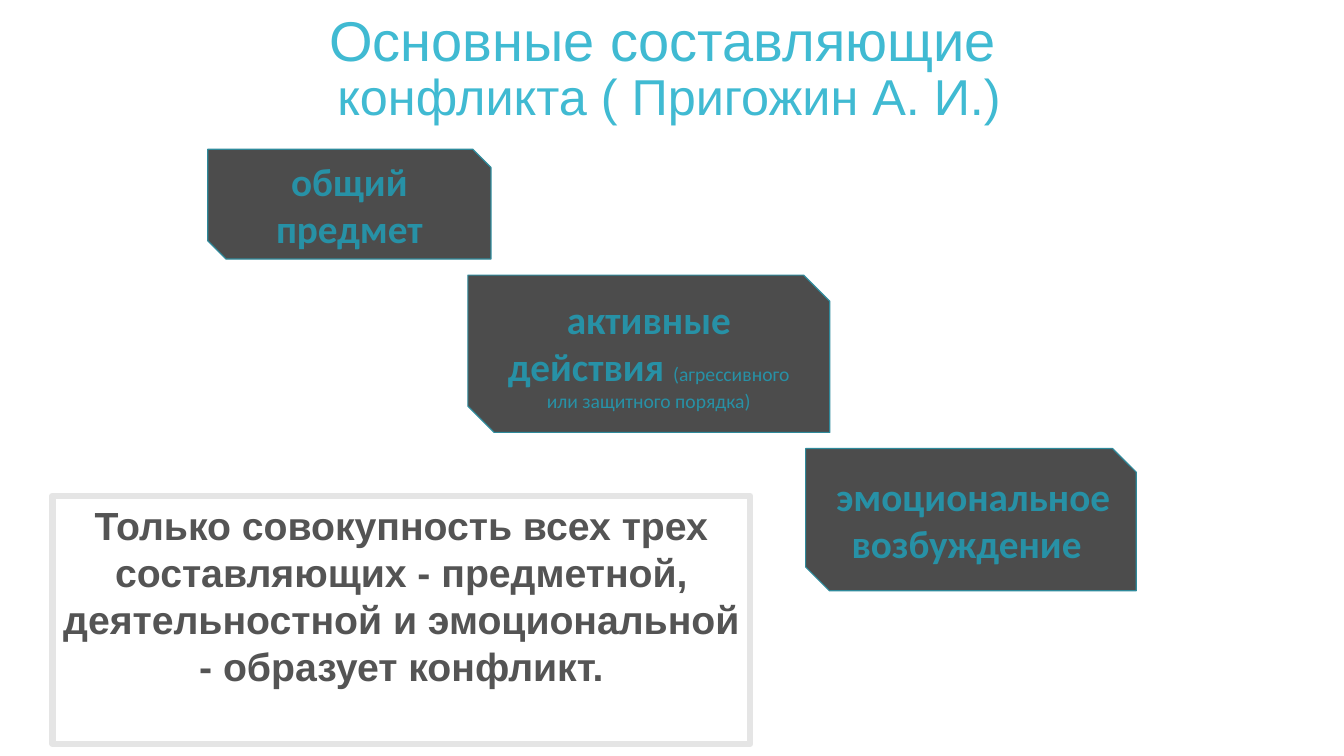
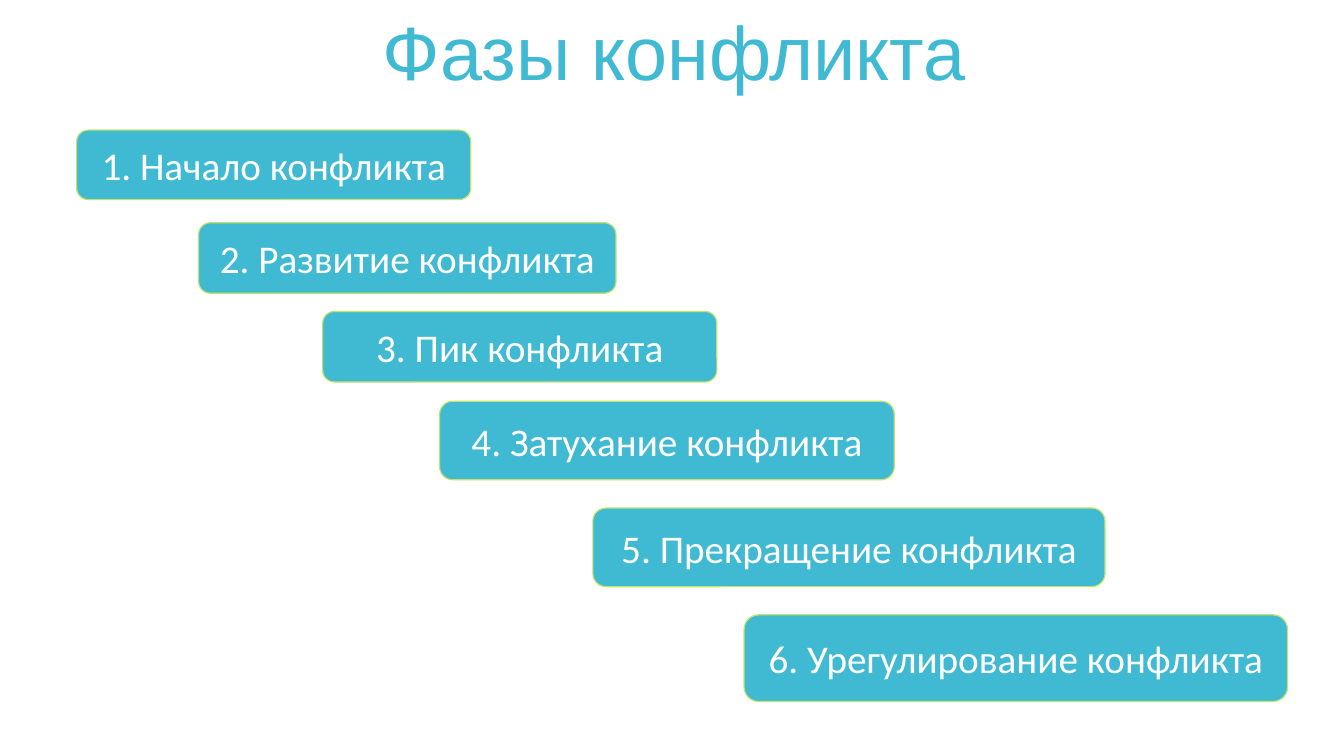
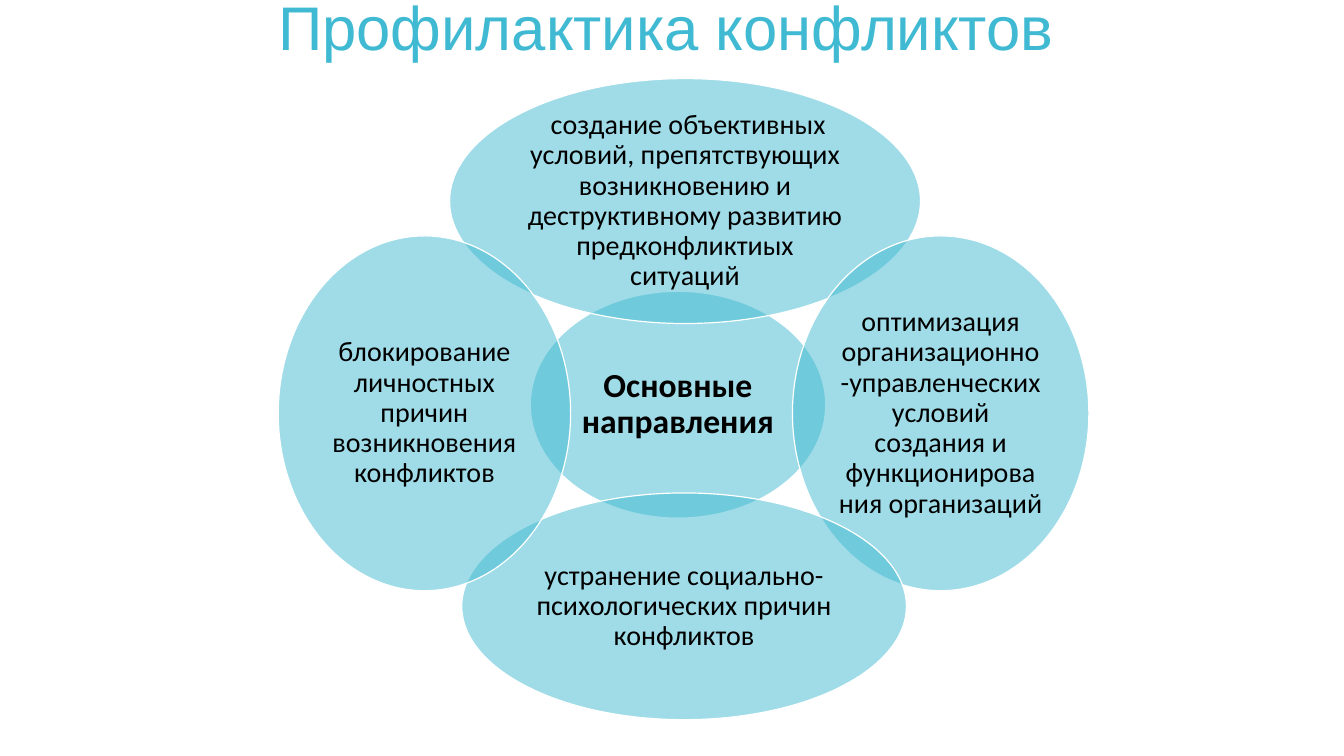
from lxml.etree import SubElement
from pptx import Presentation
from pptx.dml.color import RGBColor
from pptx.enum.shapes import MSO_SHAPE as Preset
from pptx.enum.text import MSO_ANCHOR as Anchor, MSO_AUTO_SIZE as AutoSize, PP_ALIGN as Align
from pptx.oxml.ns import qn
from pptx.util import Inches, Pt

COLORS = {
    "accent": "40BAD2",
    "teal": "2791A6",
    "teal_line": "2F8A9B",
    "lime_line": "C2E46D",
    "dark": "4C4C4C",
    "gray_text": "545454",
    "gray_line": "E5E5E5",
    "white": "FFFFFF",
    "black": "000000",
}


def color(name):
    return RGBColor.from_string(COLORS[name])


def add_span(para, text, size=28, font="Calibri", ink="white", bold=False):
    span = para.add_run()
    span.text = text
    span.font.size = Pt(size)
    span.font.name = font
    span.font.bold = bold
    span.font.color.rgb = color(ink)


class Deck:
    def __init__(self):
        self.deck = Presentation()
        self.deck.slide_width = Inches(13.33)
        self.deck.slide_height = Inches(7.5)
        self.page = None

    def new_page(self, left, top, width, height, *lines):
        self.page = self.deck.slides.add_slide(self.deck.slide_layouts[5])
        title = self.page.shapes.title
        title.left, title.top = Inches(left), Inches(top)
        title.width, title.height = Inches(width), Inches(height)
        frame = title.text_frame
        frame.auto_size = AutoSize.NONE
        frame.word_wrap = True
        frame.vertical_anchor = Anchor.TOP
        for index, (text, size, spacing) in enumerate(lines):
            para = frame.add_paragraph() if index else frame.paragraphs[0]
            para.alignment = Align.CENTER
            para.line_spacing = spacing
            para.space_before = Pt(0)
            add_span(para, text, size=size, font="Arial", ink="accent")

    def shape(self, preset, place, spans, fill=None, line="white", weight=0.85,
              alpha=None, anchor=Anchor.MIDDLE, side=0.1, edge=0.05, spacing=1.0):
        box = self.page.shapes.add_shape(preset, *map(Inches, place))
        box.shadow.inherit = False
        if fill:
            box.fill.solid()
            box.fill.fore_color.rgb = color(fill)
        else:
            box.fill.background()
        if alpha:
            tone = box.fill._xPr.find(".//" + qn("a:srgbClr"))
            SubElement(tone, qn("a:alpha")).set("val", str(alpha * 1000))
        box.line.color.rgb = color(line)
        box.line.width = Pt(weight)
        frame = box.text_frame
        frame.word_wrap = True
        frame.vertical_anchor = anchor
        frame.margin_left = frame.margin_right = Inches(side)
        frame.margin_top = frame.margin_bottom = Inches(edge)
        para = frame.paragraphs[0]
        para.alignment = Align.CENTER
        para.line_spacing = spacing
        for text, style in spans:
            add_span(para, text, **style)

    def component(self, place, *spans):
        self.shape(Preset.SNIP_2_DIAG_RECTANGLE, place, spans, fill="dark", line="teal_line")

    def conclusion(self, place, text):
        style = dict(font="Arial", ink="gray_text", bold=True)
        self.shape(Preset.RECTANGLE, place, [(text, style)], line="gray_line",
                   weight=4.5, anchor=Anchor.TOP, side=0.05)

    def phase(self, place, text):
        self.shape(Preset.ROUNDED_RECTANGLE, place, [(text, {})],
                   fill="accent", line="lime_line")

    def direction(self, place, text, **style):
        self.shape(Preset.OVAL, place, [(text, dict(size=20, ink="black") | style)],
                   fill="accent", alpha=50, side=0.03, edge=0.03, spacing=0.9)


def build_components(slides):
    slides.new_page(2.21, 0, 8.72, 1.31, ("Основные составляющие", 40, 1.0),
                    (" конфликта ( Пригожин А. И.)", 36, 0.9))
    strong = dict(ink="teal", bold=True)
    small = dict(ink="teal", size=14)
    slides.component((2.06, 1.48, 2.81, 1.09), ("общий предмет", strong))
    slides.component((4.64, 2.73, 3.59, 1.56), ("активные действия ", strong),
                     ("(агрессивного или защитного порядка)", small))
    slides.component((7.99, 4.45, 3.28, 1.41), (" ", small),
                     ("эмоциональное возбуждение ", strong))
    slides.conclusion((0.52, 4.92, 6.92, 2.46),
                      "Только совокупность всех трех составляющих - предметной, "
                      "деятельностной и эмоциональной - образует конфликт.")


def build_phases(slides):
    slides.new_page(3.16, 0, 7.06, 1.01, ("Фазы конфликта", 54, 1.0))
    phases = [
        ("Начало", 0.76, 1.29, 3.91, 0.69),
        ("Развитие", 1.97, 2.21, 4.14, 0.7),
        ("Пик", 3.2, 3.09, 3.91, 0.7),
        ("Затухание", 4.36, 3.98, 4.51, 0.78),
        ("Прекращение", 5.88, 5.04, 5.08, 0.78),
        ("Урегулирование", 7.38, 6.1, 5.39, 0.86),
    ]
    for number, (name, *place) in enumerate(phases, 1):
        slides.phase(place, f"{number}. {name} конфликта")


def build_prevention(slides):
    slides.new_page(2.13, -0.16, 8.96, 0.84, ("Профилактика конфликтов", 44, 1.0))
    slides.direction((5.26, 2.89, 2.93, 2.25), "Основные направления", size=24, bold=True)
    slides.direction((4.46, 0.78, 4.67, 2.43),
                     " создание объективных условий, препятствующих возникновению и "
                     "деструктивному развитию предконфликтиых ситуаций")
    slides.direction((7.86, 2.34, 2.94, 3.52),
                     "оптимизация организационно-управленческих условий создания и "
                     "функционирования организаций ")
    slides.direction((4.58, 4.89, 4.41, 2.25),
                     "устранение социально-психологических причин конфликтов")
    slides.direction((2.76, 2.34, 2.9, 3.52),
                     "блокирование личностных причин возникновения конфликтов")


def main():
    slides = Deck()
    build_components(slides)
    build_phases(slides)
    build_prevention(slides)
    slides.deck.save("out.pptx")


if __name__ == "__main__":
    main()
